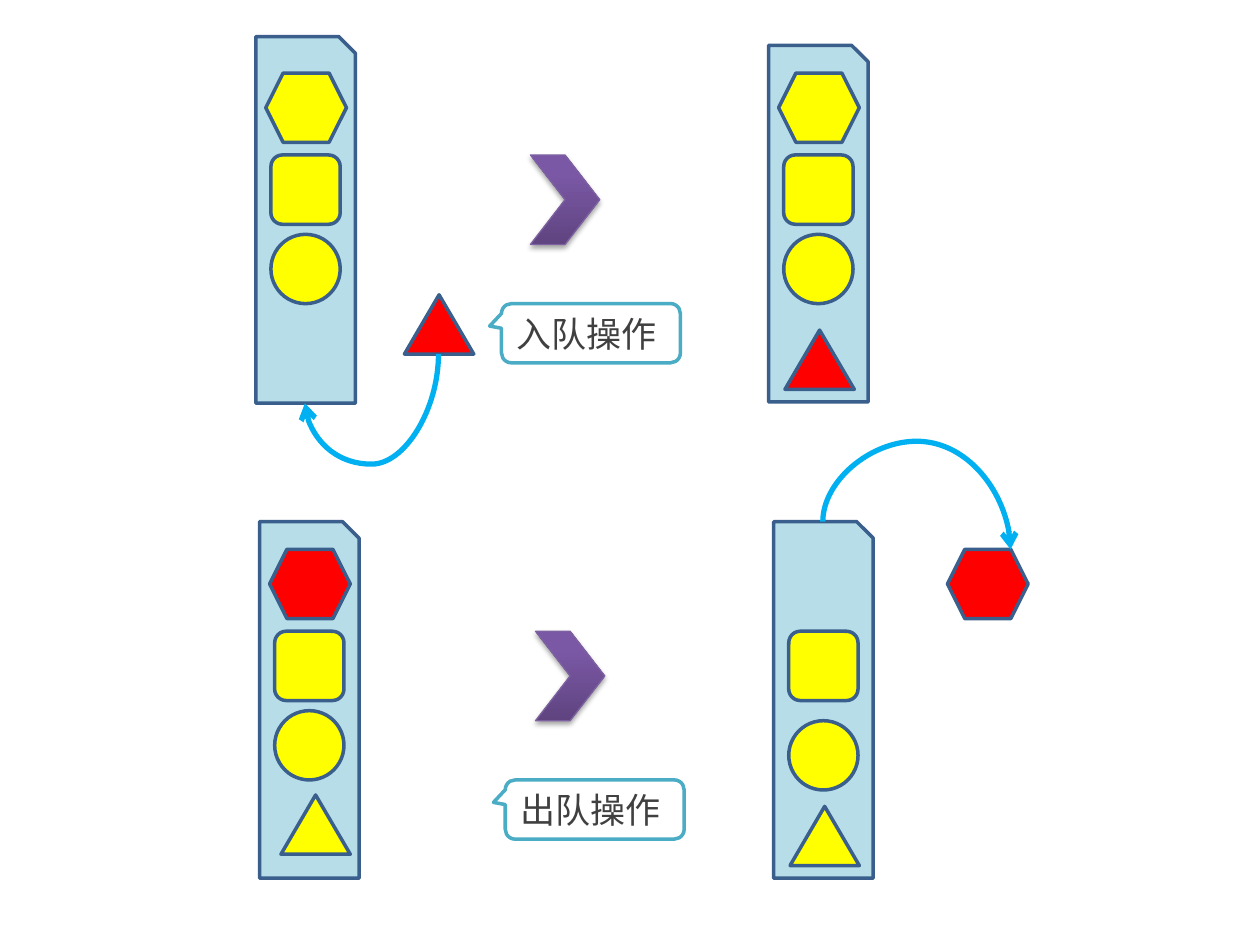
from lxml import etree
from pptx import Presentation
from pptx import util as u
from pptx.dml.color import RGBColor
from pptx.enum import shapes, text
from pptx.oxml import ns, parse_xml

FONT = "Noto Sans CJK SC"
KIND = shapes.MSO_SHAPE
YELLOW, RED = "FFFF00", "FF0000"
HEX, BOX, DISC, TRI = KIND.HEXAGON, KIND.ROUNDED_RECTANGLE, KIND.OVAL, KIND.ISOSCELES_TRIANGLE
SIZES = {HEX: (0.64, 0.55), BOX: (0.55, 0.55), DISC: (0.55, 0.55), TRI: (0.55, 0.47)}
INSETS = {HEX: 0.08, BOX: 0.12, DISC: 0.12, TRI: 0.13}
STOPS = [(0, "5F4480"), (80, "7B58A6"), (100, "7C57A8")]


def color(code):
    return RGBColor.from_string(code)


def child(node, tag, **attrs):
    return etree.SubElement(node, ns.qn(tag), attrs)


class Board:
    edge = "3A5F8C"

    def __init__(self, slide):
        self.slide = slide

    def shape(self, kind, x, y, w, h, fill, line=edge, width=2):
        item = self.slide.shapes.add_shape(kind, *map(u.Inches, (x, y, w, h)))
        item.shadow.inherit = False
        item.fill.solid()
        item.fill.fore_color.rgb = color(fill)
        item.line.color.rgb = color(line)
        item.line.width = u.Pt(width)
        return item

    def piece(self, kind, x, y, fill=YELLOW):
        self.shape(kind, x, y, *SIZES[kind], fill)

    def queue(self, x, y, h, *pieces):
        self.shape(KIND.SNIP_1_RECTANGLE, x, y, 0.79, h, "B7DEE8")
        for kind, top, fill in pieces:
            self.piece(kind, x + INSETS[kind], top, fill)

    def chevron(self, x, y):
        item = self.shape(KIND.CHEVRON, x, y, 0.55, 0.71, STOPS[0][1], "7D60A0", 0.75)
        props = item.element.spPr
        grad = parse_xml(f'<a:gradFill {ns.nsdecls("a")} rotWithShape="1"/>')
        stops = child(grad, "a:gsLst")
        for pos, code in STOPS:
            stop = child(stops, "a:gs", pos=str(pos * 1000))
            child(stop, "a:srgbClr", val=code)
        child(grad, "a:lin", ang="16200000", scaled="0")
        props.replace(props.find(ns.qn("a:solidFill")), grad)
        shade = child(props.find(ns.qn("a:effectLst")), "a:outerShdw",
                      blurRad=str(u.Pt(3.1)), dist=str(u.Pt(1.8)),
                      dir="5400000", rotWithShape="0")
        tint = child(shade, "a:srgbClr", val="000000")
        child(tint, "a:alpha", val="35000")

    def callout(self, words, x, y):
        item = self.shape(KIND.ROUNDED_RECTANGULAR_CALLOUT, x, y, 1.42, 0.47, "FFFFFF", "4BACC6")
        for spot, value in enumerate((-0.566, -0.12, 0.167)):
            item.adjustments[spot] = value
        frame = item.text_frame
        frame.word_wrap = True
        frame.vertical_anchor = text.MSO_ANCHOR.MIDDLE
        frame.text = words
        para = frame.paragraphs[0]
        para.alignment = text.PP_ALIGN.LEFT
        font = para.runs[0].font
        font.size = u.Pt(20)
        font.name = FONT
        font.color.rgb = color("404040")
        child(para.runs[0].font._element, "a:ea", typeface=FONT)

    def arc(self, start, end, turn, bend):
        ends = map(u.Inches, (*start, *end))
        item = self.slide.shapes.add_connector(shapes.MSO_CONNECTOR.CURVE, *ends)
        midx, midy = (start[0] + end[0]) / 2, (start[1] + end[1]) / 2
        wide, high = abs(end[1] - start[1]), abs(end[0] - start[0])
        item.left, item.top = u.Inches(midx - wide / 2), u.Inches(midy - high / 2)
        item.width, item.height = u.Inches(wide), u.Inches(high)
        item.line.color.rgb = color("00B0F0")
        item.line.width = u.Pt(3)
        props = item._element.spPr
        frame = props.find(ns.qn("a:xfrm"))
        frame.attrib.pop("flipH", None)
        frame.set("rot", str(turn * 60000))
        if turn == 270:
            frame.set("flipH", "1")
        geom = props.find(ns.qn("a:prstGeom"))
        guides = geom.find(ns.qn("a:avLst"))
        if guides is None:
            guides = child(geom, "a:avLst")
        child(guides, "a:gd", name="adj1", fmla=f"val {round(bend * 100000)}")
        child(props.find(ns.qn("a:ln")), "a:tailEnd", type="arrow")
        child(props, "a:effectLst")


def main():
    deck = Presentation()
    deck.slide_width, deck.slide_height = u.Inches(10), u.Inches(7.5)
    board = Board(deck.slides.add_slide(deck.slide_layouts[6]))

    trio = [(HEX, 0.58, YELLOW), (BOX, 1.23, YELLOW), (DISC, 1.86, YELLOW)]
    board.queue(2.03, 0.29, 2.91, *trio)
    board.queue(6.1, 0.36, 2.83, *trio, (TRI, 2.62, RED))
    board.piece(TRI, 3.21, 2.34, RED)
    board.arc((3.48, 2.81), (2.42, 3.2), 90, 2.24)
    board.chevron(4.21, 1.23)
    board.callout("入队操作", 3.98, 2.41)

    board.queue(2.06, 4.14, 2.83, (HEX, 4.36, RED), (BOX, 5.01, YELLOW), (DISC, 5.64, YELLOW))
    board.piece(TRI, 2.23, 6.31)
    board.queue(6.14, 4.14, 2.83, (BOX, 5.01, YELLOW), (DISC, 5.72, YELLOW), (TRI, 6.4, YELLOW))
    board.piece(HEX, 7.52, 4.36, RED)
    board.arc((6.53, 4.14), (8.02, 4.36), 270, -2.9)
    board.chevron(4.25, 5.01)
    board.callout("出队操作", 4.01, 6.19)

    deck.save("out.pptx")


if __name__ == "__main__":
    main()
